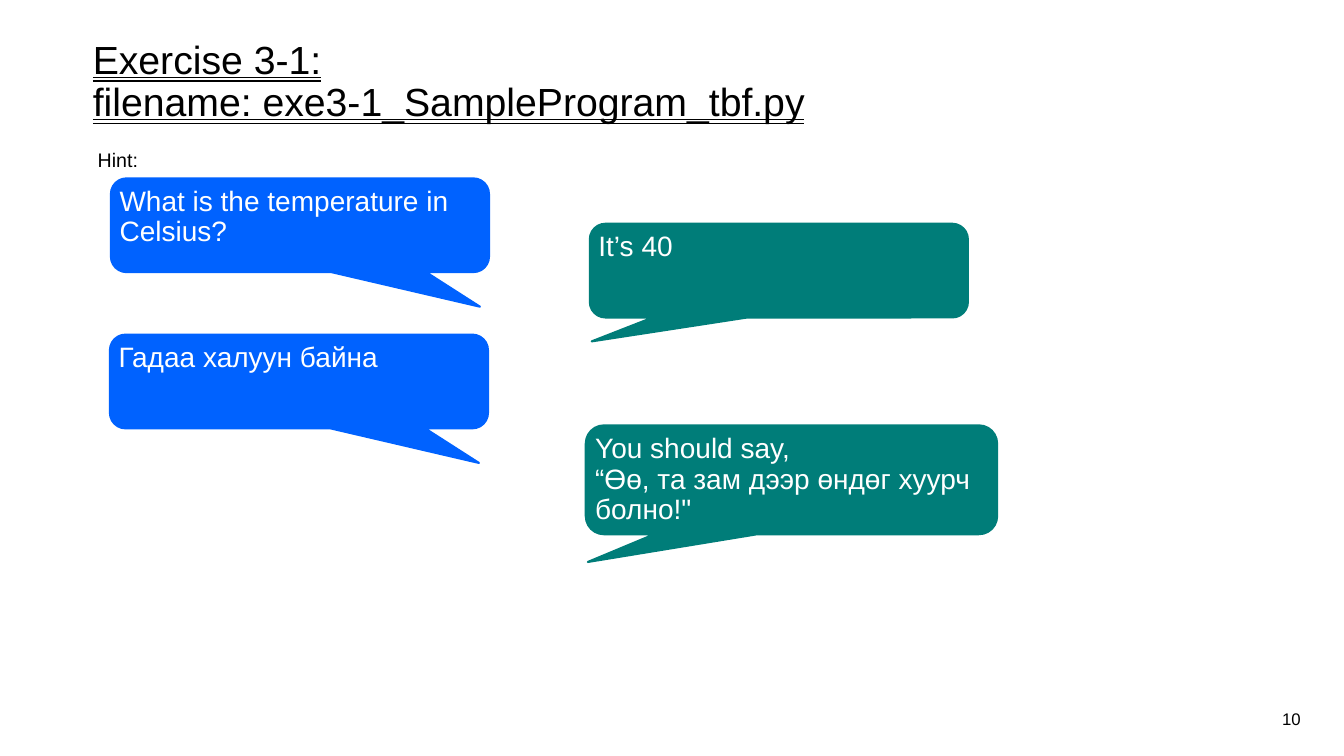
from copy import deepcopy

from pptx import Presentation
from pptx.dml.color import RGBColor
from pptx.enum.shapes import MSO_SHAPE as Shape
from pptx.enum.text import MSO_ANCHOR as Anchor, MSO_AUTO_SIZE as AutoSize
from pptx.enum.text import MSO_UNDERLINE as Underline, PP_ALIGN as Align
from pptx.oxml.ns import qn
from pptx.util import Emu, Pt

EMU_PER_PX = 9144  # 100 px to the inch
BLUE, TEAL, WHITE, BLACK = "0062FF", "007D79", "FFFFFF", "000000"
TAIL_RIGHT, TAIL_LEFT = (0.476, 0.869, 0.167), (-0.495, 0.755, 0.167)


def px(length):
    return Emu(length * EMU_PER_PX)


def color(hex_code):
    return RGBColor.from_string(hex_code)


class DialogueSlide:
    font_name = "Arial"

    def __init__(self, presentation):
        self.slide = presentation.slides.add_slide(presentation.slide_layouts[5])

    def fill_text(self, shape, text, size, hex_code, inset=None, spacing=None, align=Align.LEFT):
        frame = shape.text_frame
        frame.text = text
        frame.word_wrap = True
        frame.auto_size = AutoSize.NONE
        frame.vertical_anchor = Anchor.TOP
        if inset is not None:
            frame.margin_left = frame.margin_right = px(inset)
            frame.margin_top = frame.margin_bottom = px(inset)
        for paragraph in frame.paragraphs:
            paragraph.alignment = align
            paragraph.line_spacing = spacing
            for run in paragraph.runs:
                run.font.name = self.font_name
                run.font.size = Pt(size)
                run.font.color.rgb = color(hex_code)

    def title(self, text, left, top, width, height):
        shape = self.slide.shapes.title
        shape.left, shape.top, shape.width, shape.height = map(px, (left, top, width, height))
        self.fill_text(shape, text, 28, BLACK, inset=0, spacing=0.9)
        paragraph = shape.text_frame.paragraphs[0]
        for run in paragraph.runs:
            run.font.underline = Underline.DOUBLE_LINE
        # Line breaks take the size of the text around them
        for line_break in paragraph._p.findall(qn("a:br")):
            line_break.append(deepcopy(paragraph.runs[0]._r.get_or_add_rPr()))

    def label(self, text, left, top, width, height, size, align=Align.LEFT):
        shape = self.slide.shapes.add_textbox(*map(px, (left, top, width, height)))
        self.fill_text(shape, text, size, BLACK, align=align)

    def bubble(self, text, left, top, width, height, fill, tail):
        shape = self.slide.shapes.add_shape(
            Shape.ROUNDED_RECTANGULAR_CALLOUT, *map(px, (left, top, width, height)))
        shape.shadow.inherit = False
        for index, value in enumerate(tail):
            shape.adjustments[index] = value
        shape.fill.solid()
        shape.fill.fore_color.rgb = color(fill)
        shape.line.color.rgb = color(fill)
        shape.line.width = Pt(1.5)
        self.fill_text(shape, text, 20, WHITE, inset=4, spacing=0.9)


def main():
    presentation = Presentation()
    presentation.slide_width, presentation.slide_height = px(1333), px(750)

    page = DialogueSlide(presentation)
    page.title("Exercise 3-1:\vfilename: exe3-1_SampleProgram_tbf.py", 92, 40, 1150, 78)
    page.label("10", 1033, 698, 267, 24, 12, Align.RIGHT)
    page.bubble("What is the temperature in Celsius?", 110, 177, 375, 93, BLUE, TAIL_RIGHT)
    page.bubble("It’s 40", 585, 222, 375, 93, TEAL, TAIL_LEFT)
    page.bubble("Гадаа халуун байна", 109, 332, 375, 93, BLUE, TAIL_RIGHT)
    page.bubble('You should say,\n“Өө, та зам дээр өндөг хуурч болно!"',
                581, 422, 408, 108, TEAL, TAIL_LEFT)
    page.label("Hint:", 87, 142, 81, 34, 14)

    presentation.save("out.pptx")


if __name__ == "__main__":
    main()
